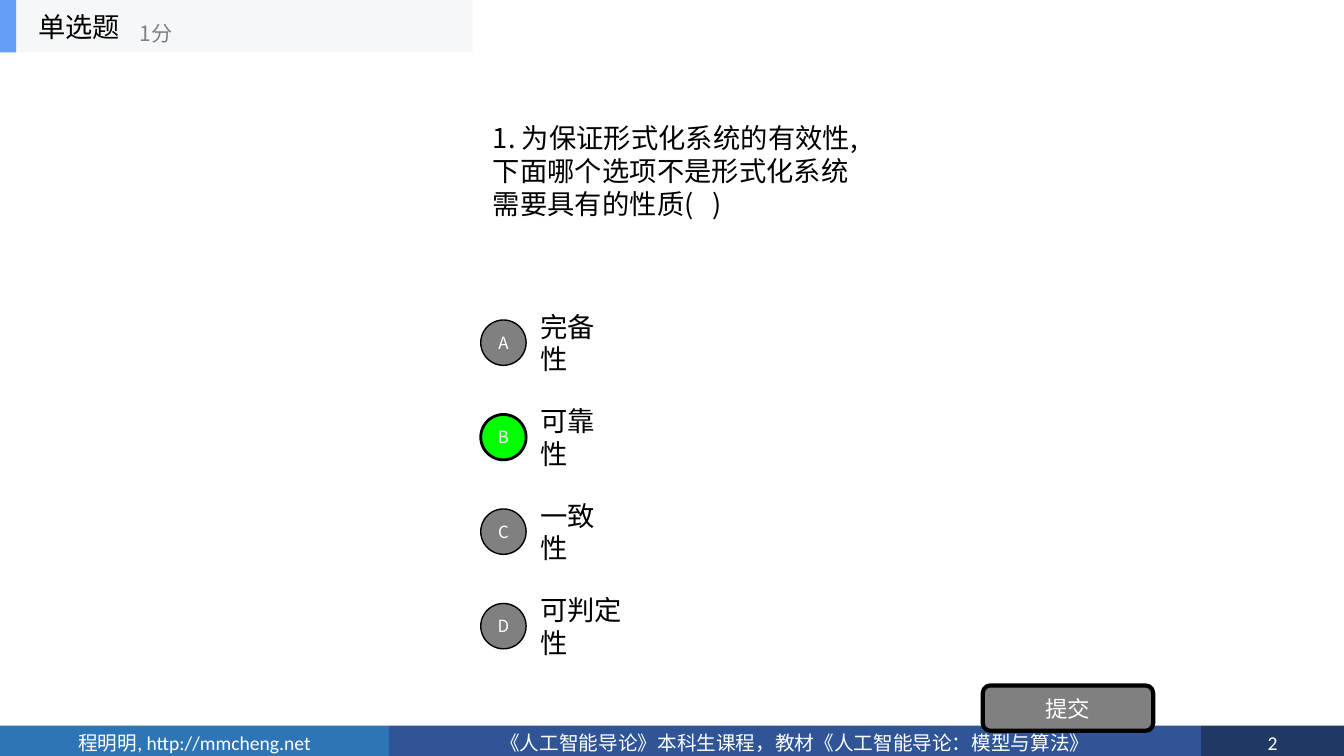
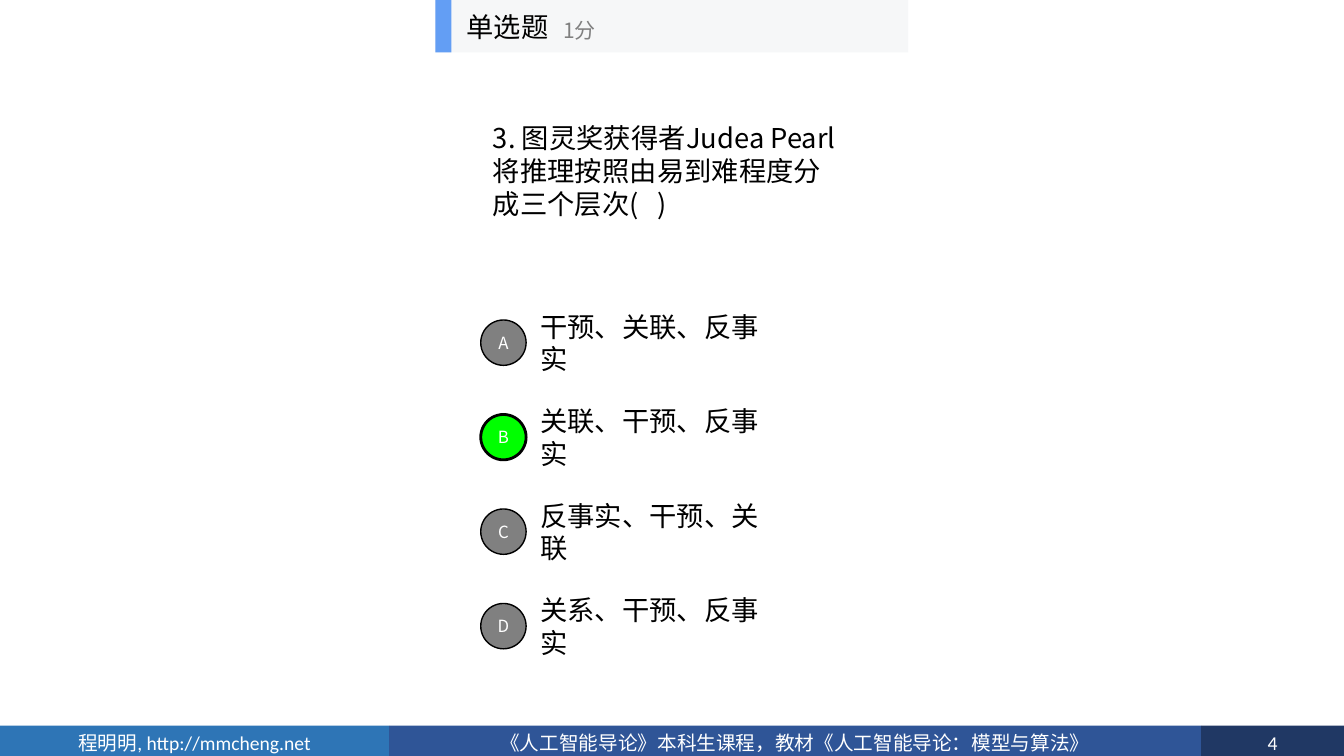
from dataclasses import dataclass

import pptx
import pptx.dml.color
import pptx.enum.shapes
import pptx.enum.text
import pptx.oxml
import pptx.oxml.ns
import pptx.shapes.autoshape
import pptx.slide
import pptx.util

Pt = pptx.util.Pt
RGBColor = pptx.dml.color.RGBColor
Shape = pptx.shapes.autoshape.Shape
Slide = pptx.slide.Slide
SHAPE = pptx.enum.shapes.MSO_SHAPE
ALIGN = pptx.enum.text.PP_ALIGN
ANCHOR = pptx.enum.text.MSO_ANCHOR
AUTO_SIZE = pptx.enum.text.MSO_AUTO_SIZE

BLACK = RGBColor(0x00, 0x00, 0x00)
WHITE = RGBColor(0xFF, 0xFF, 0xFF)
GRAY = RGBColor(0x80, 0x80, 0x80)
GREEN = RGBColor(0x00, 0xFF, 0x00)
HEADER_FILL = RGBColor(0xF6, 0xF7, 0xF8)
HEADER_ACCENT = RGBColor(0x63, 0x9E, 0xF4)
FOOTER_AUTHOR = RGBColor(0x2E, 0x75, 0xB6)
FOOTER_COURSE = RGBColor(0x2F, 0x55, 0x97)
FOOTER_PAGE = RGBColor(0x20, 0x38, 0x64)

CJK_FONT = "Noto Sans CJK SC"
LATIN_FONT = "Calibri"

SLIDE_WIDTH, SLIDE_HEIGHT = 960, 540
FOOTER_TOP, FOOTER_HEIGHT = 518.4, 24.5
HEADER_WIDTH, HEADER_HEIGHT, ACCENT_WIDTH = 337.7, 37.4, 11.5
OPTION_TOP, OPTION_PITCH, OPTION_HEIGHT = 217.4, 67.5, 54.7
OPTION_LEFT, BADGE_LEFT, BADGE_SIZE = 378.7, 343.4, 32.4


@dataclass(frozen=True)
class Box:
    left: float
    top: float
    width: float
    height: float

    def lengths(self) -> tuple[int, int, int, int]:
        return Pt(self.left), Pt(self.top), Pt(self.width), Pt(self.height)


@dataclass(frozen=True)
class TextStyle:
    size: float
    color: RGBColor
    font: str = CJK_FONT
    align: ALIGN = ALIGN.LEFT
    anchor: ANCHOR = ANCHOR.MIDDLE
    auto_size: AUTO_SIZE = AUTO_SIZE.NONE


@dataclass(frozen=True)
class Quiz:
    page: int
    question: str
    question_width: float
    options: tuple[str, ...]
    option_widths: tuple[float, ...]
    answer: str
    header_left: float
    kind_left: float
    score_left: float
    score_top: float
    has_submit: bool


BODY = TextStyle(19.5, BLACK, auto_size=AUTO_SIZE.SHAPE_TO_FIT_TEXT)
KIND = TextStyle(19.5, BLACK)
SCORE = TextStyle(15, GRAY)
BADGE = TextStyle(12, WHITE, align=ALIGN.CENTER)
SUBMIT = TextStyle(16, WHITE, align=ALIGN.CENTER)
FOOTER = TextStyle(14, WHITE, LATIN_FONT, ALIGN.CENTER, ANCHOR.TOP,
                   AUTO_SIZE.SHAPE_TO_FIT_TEXT)

QUIZZES = (
    Quiz(2, "1. 为保证形式化系统的有效性,下面哪个选项不是形式化系统需要具有的性质(   )", 270,
         ("完备性", "可靠性", "一致性", "可判定性"), (69.1, 69.1, 69.1, 88.6), "B",
         header_left=0, kind_left=20.2, score_left=92.9, score_top=8.6,
         has_submit=True),
    Quiz(4, "3. 图灵奖获得者Judea Pearl将推理按照由易到难程度分成三个层次(   )", 264.2,
         ("干预、关联、反事实", "关联、干预、反事实", "反事实、干预、关联", "关系、干预、反事实"),
         (186.5,) * 4, "B",
         header_left=311, kind_left=326.2, score_left=395.3, score_top=6.5,
         has_submit=False),
)


def write_text(shape: Shape, text: str, style: TextStyle) -> None:
    frame = shape.text_frame
    frame_format = {"word_wrap": True, "auto_size": style.auto_size,
                    "vertical_anchor": style.anchor}
    for name, value in frame_format.items():
        setattr(frame, name, value)
    paragraph = frame.paragraphs[0]
    paragraph.alignment = style.align
    run = paragraph.add_run()
    run.text = text
    font_format = {"name": style.font, "size": Pt(style.size), "bold": False}
    for name, value in font_format.items():
        setattr(run.font, name, value)
    run.font.color.rgb = style.color
    for properties in shape.element.iter(pptx.oxml.ns.qn("a:rPr")):
        east_asian = pptx.oxml.parse_xml(
            f'<a:ea {pptx.oxml.ns.nsdecls("a")} typeface="{CJK_FONT}"/>')
        properties.append(east_asian)


def add_label(slide: Slide, box: Box, text: str, style: TextStyle) -> None:
    write_text(slide.shapes.add_textbox(*box.lengths()), text, style)


def add_panel(slide: Slide, box: Box, fill: RGBColor,
              preset: SHAPE = SHAPE.RECTANGLE, outline: float = 0) -> Shape:
    panel = slide.shapes.add_shape(preset, *box.lengths())
    panel.shadow.inherit = False
    panel.fill.solid()
    panel.fill.fore_color.rgb = fill
    if outline:
        panel.line.color.rgb = BLACK
        panel.line.width = Pt(outline)
    else:
        panel.line.fill.background()
    return panel


def add_footer(slide: Slide, page: int) -> None:
    left = 0
    for text, width, fill in (
        ("《人工智能导论》本科生课程，教材《人工智能导论：模型与算法》", 580, FOOTER_COURSE),
        ("程明明, http://mmcheng.net", 278, FOOTER_AUTHOR),
        (str(page), 102, FOOTER_PAGE),
    )[1::-1] + ((str(page), 102, FOOTER_PAGE),):
        band = add_panel(slide, Box(left, FOOTER_TOP, width, FOOTER_HEIGHT), fill)
        write_text(band, text, FOOTER)
        left += width


def add_header(slide: Slide, quiz: Quiz) -> None:
    for width, fill in ((HEADER_WIDTH, HEADER_FILL), (ACCENT_WIDTH, HEADER_ACCENT)):
        add_panel(slide, Box(quiz.header_left, 0, width, HEADER_HEIGHT), fill)
    add_label(slide, Box(quiz.kind_left, 0, 112.3, HEADER_HEIGHT), "单选题", KIND)
    add_label(slide, Box(quiz.score_left, quiz.score_top, 135.4, 30.2), "1分", SCORE)


def place_question(slide: Slide, quiz: Quiz) -> None:
    title = slide.shapes.title
    box = Box(344.9, 82.8, quiz.question_width, 77.8)
    for name, value in zip(("left", "top", "width", "height"), box.lengths()):
        setattr(title, name, value)
    write_text(title, quiz.question, BODY)


def add_options(slide: Slide, quiz: Quiz) -> None:
    for row, (letter, option, width) in enumerate(
            zip("ABCD", quiz.options, quiz.option_widths)):
        top = OPTION_TOP + row * OPTION_PITCH
        add_label(slide, Box(OPTION_LEFT, top, width, OPTION_HEIGHT), option, BODY)
        badge_top = top + (OPTION_HEIGHT - BADGE_SIZE) / 2
        is_answer = letter == quiz.answer
        badge = add_panel(slide, Box(BADGE_LEFT, badge_top, BADGE_SIZE, BADGE_SIZE),
                          GREEN if is_answer else GRAY, SHAPE.OVAL,
                          2 if is_answer else 1)
        for side in ("left", "right", "top", "bottom"):
            setattr(badge.text_frame, f"margin_{side}", 0)
        write_text(badge, letter, BADGE)


def add_submit_button(slide: Slide) -> None:
    button = add_panel(slide, Box(702, 489.6, 121.7, 32.4), GRAY,
                       SHAPE.ROUNDED_RECTANGLE, 3)
    write_text(button, "提交", SUBMIT)


def main() -> None:
    presentation = pptx.Presentation()
    presentation.slide_width = Pt(SLIDE_WIDTH)
    presentation.slide_height = Pt(SLIDE_HEIGHT)
    title_only = presentation.slide_layouts[5]
    for quiz in QUIZZES:
        slide = presentation.slides.add_slide(title_only)
        add_footer(slide, quiz.page)
        place_question(slide, quiz)
        add_options(slide, quiz)
        if quiz.has_submit:
            add_submit_button(slide)
        add_header(slide, quiz)
    presentation.save("out.pptx")


if __name__ == "__main__":
    main()
